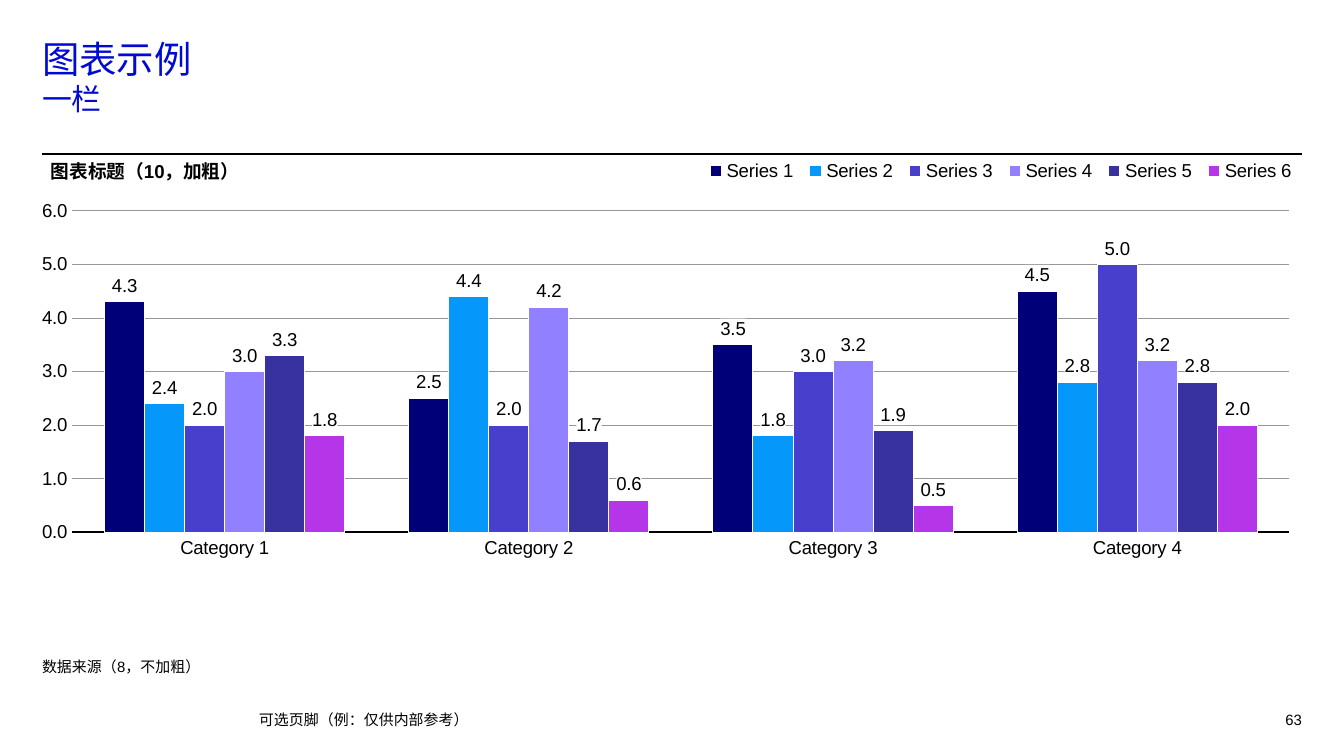
from dataclasses import dataclass

from lxml.etree import SubElement
from pptx import Presentation
from pptx.chart.data import CategoryChartData
from pptx.dml.color import RGBColor
from pptx.enum.chart import XL_CHART_TYPE, XL_LABEL_POSITION, XL_LEGEND_POSITION, XL_TICK_MARK
from pptx.enum.shapes import MSO_CONNECTOR
from pptx.enum.text import MSO_ANCHOR, MSO_AUTO_SIZE, PP_ALIGN
from pptx.oxml import parse_xml
from pptx.oxml.ns import nsdecls, qn
from pptx.util import Emu, Pt


@dataclass(frozen=True)
class Theme:
    ink: str = "000000"
    paper: str = "FFFFFF"
    grid: str = "979797"
    blue: str = "000AD2"
    bars: tuple = ("000078", "0598FA", "483FCD", "9180FF", "3831A0", "B436E8")
    font: str = "Arial"
    head: str = "Noto Sans CJK SC"
    title: int = 20
    sub: int = 16
    text: int = 10
    note: int = 8


THEME = Theme()
SCALE = 9144000 / 1344
LEFT, WIDTH = 42, 1260
CATS = [f"Category {n}" for n in range(1, 5)]
DATA = [
    (4.3, 2.5, 3.5, 4.5),
    (2.4, 4.4, 1.8, 2.8),
    (2.0, 2.0, 3.0, 5.0),
    (3.0, 4.2, 3.2, 3.2),
    (3.3, 1.7, 1.9, 2.8),
    (1.8, 0.6, 0.5, 2.0),
]


def px(*vals):
    return [Emu(round(v * SCALE)) for v in vals]


def style(font, size, color=THEME.ink, name=THEME.font, bold=False):
    font.size, font.name, font.bold = Pt(size), name, bold
    font.color.rgb = RGBColor.from_string(color)


def stroke(line, color, width):
    line.color.rgb = RGBColor.from_string(color)
    line.width = Pt(width)


def prep(frame, anchor):
    frame.margin_left = frame.margin_right = frame.margin_top = frame.margin_bottom = 0
    frame.word_wrap, frame.auto_size = True, MSO_AUTO_SIZE.NONE
    frame.vertical_anchor = anchor
    return frame.paragraphs[0]


def add_title(slide, main, sub):
    shape = slide.shapes.title
    shape.left, shape.top, shape.width, shape.height = px(LEFT, 36, WIDTH, 97)
    para = prep(shape.text_frame, MSO_ANCHOR.TOP)
    para.alignment = PP_ALIGN.LEFT
    style(para.font, THEME.title, THEME.blue, THEME.head)
    para.add_run().text = main
    para.add_line_break()
    run = para.add_run()
    run.text, run.font.size = sub, Pt(THEME.sub)


def add_text(slide, text, box, size, anchor=MSO_ANCHOR.MIDDLE, align=PP_ALIGN.LEFT, bold=False):
    para = prep(slide.shapes.add_textbox(*px(*box)).text_frame, anchor)
    para.text, para.alignment = text, align
    style(para.font, size, bold=bold)
    return para


def add_rule(slide, top):
    rule = slide.shapes.add_connector(MSO_CONNECTOR.STRAIGHT, *px(LEFT, top, LEFT + WIDTH, top))
    stroke(rule.line, THEME.ink, 0.75)
    SubElement(rule._element.spPr, qn("a:effectLst"))


def layout(x, y, w, h, inner=False):
    target = '<c:layoutTarget val="inner"/>' if inner else ""
    modes = '<c:xMode val="edge"/><c:yMode val="edge"/>'
    return parse_xml(
        f'<c:layout {nsdecls("c")}><c:manualLayout>{target}{modes}'
        f'<c:x val="{x}"/><c:y val="{y}"/><c:w val="{w}"/><c:h val="{h}"/>'
        "</c:manualLayout></c:layout>"
    )


def place(node, area):
    for old in node.findall(qn("c:layout")):
        node.remove(old)
    if node.tag == qn("c:legend"):
        node.find(qn("c:legendPos")).addnext(area)
    else:
        node.insert(0, area)


def add_labels(series):
    labels = series.data_labels
    labels.show_value, labels.position = True, XL_LABEL_POSITION.OUTSIDE_END
    labels.number_format, labels.number_format_is_linked = "#,##0.0", False
    style(labels.font, THEME.text)
    back = parse_xml(
        f'<c:spPr {nsdecls("c", "a")}><a:solidFill><a:srgbClr val="{THEME.paper}"/>'
        "</a:solidFill><a:ln><a:noFill/></a:ln></c:spPr>"
    )
    labels._element.find(qn("c:numFmt")).addnext(back)


def set_axes(chart):
    cat, val = chart.category_axis, chart.value_axis
    for axis in (cat, val):
        axis.major_tick_mark = axis.minor_tick_mark = XL_TICK_MARK.NONE
        style(axis.tick_labels.font, THEME.text)
    stroke(cat.format.line, THEME.ink, 1)
    val.minimum_scale, val.maximum_scale, val.major_unit = 0, 6, 1
    val.format.line.fill.background()
    val.has_major_gridlines = True
    stroke(val.major_gridlines.format.line, THEME.grid, 0.5)


def add_bars(slide, box):
    data = CategoryChartData(number_format="0.0")
    data.categories = CATS
    for num, vals in enumerate(DATA, 1):
        data.add_series(f"Series {num}", vals)
    chart = slide.shapes.add_chart(XL_CHART_TYPE.COLUMN_CLUSTERED, *px(*box), data).chart
    style(chart.font, THEME.text)
    chart.has_title = False
    chart.has_legend = True
    chart.legend.position, chart.legend.include_in_layout = XL_LEGEND_POSITION.TOP, False
    style(chart.legend.font, THEME.text)
    plot = chart.plots[0]
    plot.gap_width, plot.overlap, plot.vary_by_categories = 160, 0, False
    for series, color in zip(plot.series, THEME.bars):
        series.format.fill.solid()
        series.format.fill.fore_color.rgb = RGBColor.from_string(color)
        stroke(series.format.line, THEME.paper, 0.5)
        add_labels(series)
    set_axes(chart)
    place(chart.legend._element, layout(0.52, 0.01, 0.48, 0.05))
    place(chart._chartSpace.chart.plotArea, layout(0.02, 0.13, 0.97, 0.76, inner=True))


def main():
    """Build the one-column chart slide."""
    deck = Presentation()
    deck.slide_width, deck.slide_height = px(1344, 756)
    slide = deck.slides.add_slide(deck.slide_layouts[5])
    add_rule(slide, 154)
    add_bars(slide, (LEFT, 156, WIDTH, 423))
    add_title(slide, "图表示例", "一栏")
    add_text(slide, "图表标题（10，加粗）", (51, 160, 1250, 23), THEME.text, MSO_ANCHOR.TOP, bold=True)
    source = add_text(slide, "数据来源（8，不加粗）", (LEFT, 603, WIDTH, 72), THEME.note, MSO_ANCHOR.BOTTOM)
    source.line_spacing = 1.1
    add_text(slide, "可选页脚（例：仅供内部参考）", (259, 710, 868, 20), THEME.note)
    add_text(slide, "63", (1250, 710, 52, 20), THEME.note, align=PP_ALIGN.RIGHT)
    deck.save("out.pptx")


if __name__ == "__main__":
    main()
